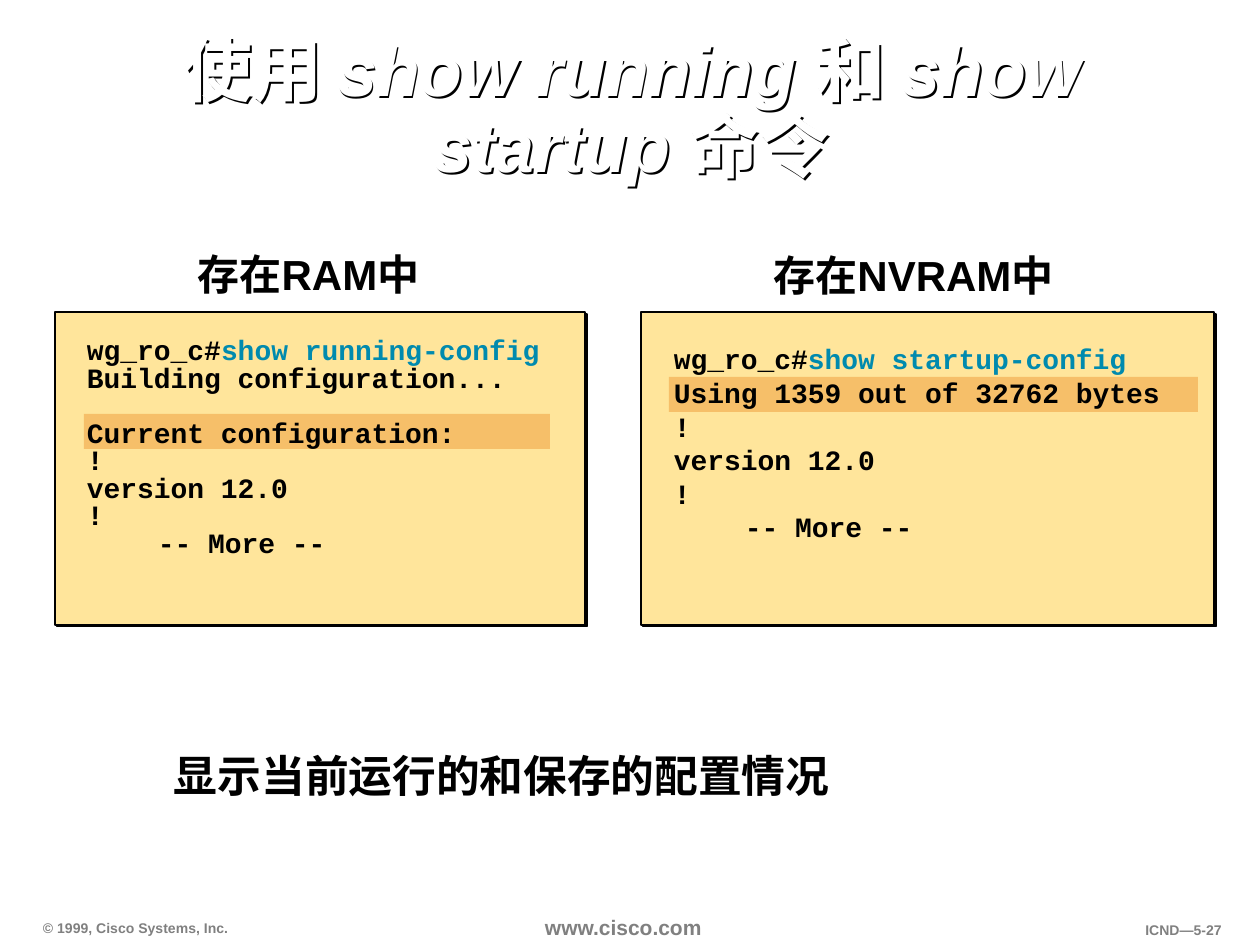
from lxml.etree import SubElement
from pptx import Presentation
from pptx.dml.color import RGBColor
from pptx.enum.shapes import MSO_SHAPE
from pptx.enum.text import MSO_ANCHOR, MSO_AUTO_SIZE, PP_ALIGN
from pptx.oxml.ns import qn
from pptx.util import Pt

PX = 914400 // 126
BLACK = RGBColor(0, 0, 0)
WHITE = RGBColor(255, 255, 255)
GRAY = RGBColor(0x80, 0x80, 0x80)
TEAL = RGBColor(0x00, 0x8A, 0xAE)
CREAM = RGBColor(0xFF, 0xE5, 0x9B)
AMBER = RGBColor(0xF6, 0xBF, 0x69)
LEFT, MID, RIGHT = PP_ALIGN.LEFT, PP_ALIGN.CENTER, PP_ALIGN.RIGHT
TOP, CORE, BASE = MSO_ANCHOR.TOP, MSO_ANCHOR.MIDDLE, MSO_ANCHOR.BOTTOM

TITLE = [("使用 ", False), ("show running ", True), ("和 ", False),
         ("show startup ", True), ("命令", False)]
PROMPT = "wg_ro_c#"
TAIL = ["!", "version 12.0", "!", "\t-- More --"]
PANELS = [
    dict(head="存在RAM中", spot=(175, 242, 267, 63),
         box=(55, 312, 530, 313), bar=(84, 414, 466, 35),
         area=(84, 335, 563, 241), step=15.7, gap=2,
         cmd="show running-config",
         lines=["Building configuration...", "Current configuration:"] + TAIL),
    dict(head="存在NVRAM中", spot=(751, 243, 325, 63),
         box=(641, 312, 573, 313), bar=(669, 377, 529, 35),
         area=(671, 338, 571, 241), step=19.2, gap=None,
         cmd="show startup-config",
         lines=["Using 1359 out of 32762 bytes"] + TAIL),
]
NOTES = [
    ("显示当前运行的和保存的配置情况", (163, 750, 934, 131), 25, BLACK, LEFT, TOP, 0.9),
    ("© 1999, Cisco Systems, Inc.", (32, 913, 212, 28), 8, GRAY, LEFT, BASE, 1),
    ("www.cisco.com", (534, 910, 189, 35), 12, GRAY, LEFT, TOP, 1),
    ("ICND—5-27", (1082, 917, 151, 28), 8, GRAY, RIGHT, TOP, 1),
]


def scale(box):
    return [n * PX for n in box]


def setup(frame, pad, anchor=TOP, wrap=True):
    frame.auto_size = MSO_AUTO_SIZE.NONE
    frame.word_wrap = wrap
    frame.vertical_anchor = anchor
    frame.margin_left = frame.margin_right = pad[0] * PX
    frame.margin_top = frame.margin_bottom = pad[1] * PX


def style(para, size, color, name="Arial"):
    font = para.font
    font.size, font.name, font.bold = Pt(size), name, True
    font.color.rgb = color


def shade(shape):
    effect = SubElement(shape._element.spPr, qn("a:effectLst"))
    drop = SubElement(effect, qn("a:outerShdw"), dist="17961", dir="2700000")
    SubElement(drop, qn("a:srgbClr"), val=str(BLACK))


def label(slide, text, box, size, color, align, anchor, lead=1, wrap=True):
    frame = slide.shapes.add_textbox(*scale(box)).text_frame
    setup(frame, (11, 5), anchor, wrap)
    para = frame.paragraphs[0]
    para.text, para.alignment, para.line_spacing = text, align, lead
    style(para, size, color)


def block(slide, box, fill):
    rect = slide.shapes.add_shape(MSO_SHAPE.RECTANGLE, *scale(box))
    rect.fill.solid()
    rect.fill.fore_color.rgb = fill
    rect.line.fill.background()
    return rect


def code(slide, panel):
    frame = slide.shapes.add_textbox(*scale(panel["area"])).text_frame
    setup(frame, (3, 4))
    for i, line in enumerate([PROMPT] + panel["lines"]):
        para = frame.paragraphs[0] if i == 0 else frame.add_paragraph()
        para.add_run().text = line
        if i == 0:
            run = para.add_run()
            run.text = panel["cmd"]
            run.font.color.rgb = TEAL
        para.line_spacing = Pt(panel["step"])
        if i == panel["gap"]:
            para.space_before = Pt(panel["step"])
        if line.startswith("\t"):
            tabs = SubElement(para._p.get_or_add_pPr(), qn("a:tabLst"))
            SubElement(tabs, qn("a:tab"), pos=str(71 * PX), algn="l")
        style(para, 16, BLACK, "Courier New")


def main():
    deck = Presentation()
    deck.slide_width, deck.slide_height = scale((1260, 945))
    slide = deck.slides.add_slide(deck.slide_layouts[5])

    title = slide.shapes.title
    title.left, title.top, title.width, title.height = scale((106, 33, 1051, 158))
    title.fill.background()
    shade(title)
    setup(title.text_frame, (11, 5), CORE)
    para = title.text_frame.paragraphs[0]
    para.alignment, para.line_spacing = MID, 0.9
    style(para, 40, WHITE)
    for text, slant in TITLE:
        run = para.add_run()
        run.text, run.font.italic = text, slant

    for panel in PANELS:
        rect = block(slide, panel["box"], CREAM)
        rect.line.color.rgb = BLACK
        rect.line.width = Pt(1)
        shade(rect)
        block(slide, panel["bar"], AMBER).shadow.inherit = False
        code(slide, panel)
        label(slide, panel["head"], panel["spot"], 24, BLACK, MID, CORE, wrap=False)
    for note in NOTES:
        label(slide, *note)
    deck.save("out.pptx")


if __name__ == "__main__":
    main()
